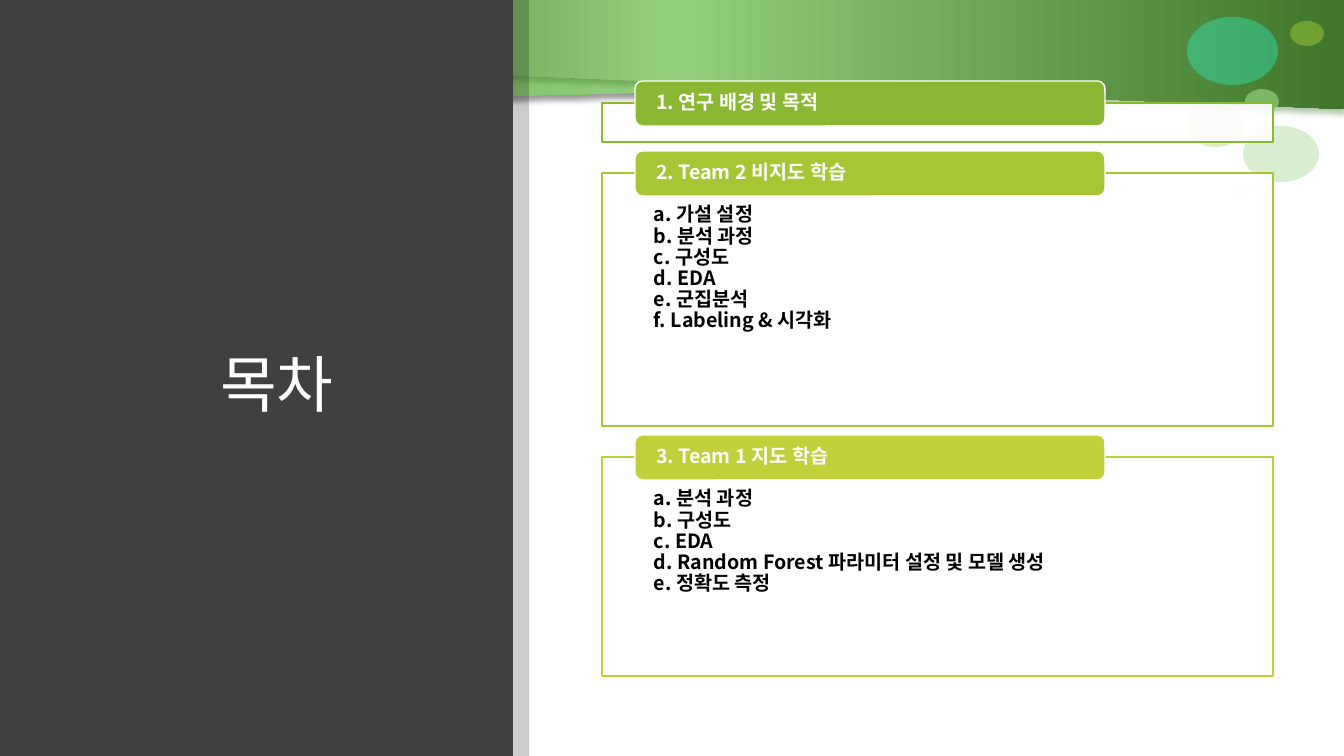
from lxml import etree
from pptx import Presentation
from pptx.dml.color import RGBColor
from pptx.enum.shapes import MSO_SHAPE as Shape
from pptx.enum.text import MSO_ANCHOR as Anchor, MSO_AUTO_SIZE as AutoSize, PP_ALIGN as Align
from pptx.oxml.ns import qn
from pptx.util import Inches, Pt

SCALE = Inches(1) / 100.8  # EMU in one px
FONT = "Noto Sans CJK KR"
COLOURS = {
    "white": "FFFFFF", "black": "000000", "dark": "404040",
    "forest": "2A4F1C", "moss": "3F762B", "leaf": "549E39", "mint": "93D07D",
    "pale": "E8F3D4", "aqua": "2BFCCF",
    "green": "8AB833", "lime": "A6C634", "yellow": "C0CF3A",
}
SECTIONS = [  # heading, colour, panel height, list items
    ("1. 연구 배경 및 목적", "green", 39, []),
    ("2. Team 2 비지도 학습", "lime", 253,
     ["가설 설정", "분석 과정", "구성도", "EDA", "군집분석", "Labeling & 시각화"]),
    ("3. Team 1 지도 학습", "yellow", 219,
     ["분석 과정", "구성도", "EDA", "Random Forest 파라미터 설정 및 모델 생성", "정확도 측정"]),
]
BUBBLES = [  # left, top, width, height, colour, opacity
    (1232, 184, 21, 15, "pale", 82),
    (1187, 104, 57, 43, "green", 29),
    (1243, 126, 76, 56, "mint", 35),
    (1245, 89, 34, 25, "mint", 70),
    (1187, 17, 91, 68, "aqua", 36),
    (1290, 21, 34, 25, "green", 65),
]


def px(length):
    return round(length * SCALE)


def rgb(name):
    return RGBColor.from_string(COLOURS[name])


def add_xml(parent, tag, **attributes):
    return etree.SubElement(parent, qn(tag), attributes)


def set_values(target, values):
    for name, value in values.items():
        setattr(target, name, value)


class SlideBuilder:
    def __init__(self, presentation, layout):
        self.slide = presentation.slides.add_slide(layout)
        self.shapes = self.slide.shapes
        self.paragraph_format = {"line_spacing": 0.9, "space_before": Pt(0), "space_after": Pt(0)}

    def add_shape(self, kind, box, colour, opacity=100, line=None):
        shape = self.shapes.add_shape(kind, *map(px, box))
        shape.shadow.inherit = False
        shape.fill.solid()
        shape.fill.fore_color.rgb = rgb(colour)
        if opacity < 100:
            colour_element = shape._element.spPr.find(".//" + qn("a:srgbClr"))
            add_xml(colour_element, "a:alpha", val=str(opacity * 1000))
        if line:
            shape.line.color.rgb = rgb(line)
            shape.line.width = Pt(1)
        else:
            shape.line.fill.background()
        return shape

    def add_band(self, points, colours, shadow):
        builder = self.shapes.build_freeform(*points[0], scale=SCALE)
        builder.add_line_segments(points[1:], close=True)
        band = builder.convert_to_shape()
        band.line.fill.background()
        band.fill.gradient()
        band.fill.gradient_angle = 0
        properties = band._element.spPr
        stops = properties.find(".//" + qn("a:gsLst"))
        stops.clear()
        for index, colour in enumerate(colours):
            stop = add_xml(stops, "a:gs", pos=str(index * 50000))
            add_xml(stop, "a:srgbClr", val=COLOURS[colour])
        effects = add_xml(properties, "a:effectLst")
        outer = add_xml(effects, "a:outerShdw", blurRad=str(Pt(4)), dist=str(Pt(3)),
                        dir="5400000", rotWithShape="0")
        tint = add_xml(outer, "a:srgbClr", val=COLOURS[shadow])
        add_xml(tint, "a:alpha", val="40000")

    def add_text(self, paragraph, text, size, colour, bold):
        set_values(paragraph, self.paragraph_format)
        run = paragraph.add_run()
        run.text = text
        set_values(run.font, {"size": Pt(size), "name": FONT, "bold": bold})
        run.font.color.rgb = rgb(colour)
        add_xml(run._r.get_or_add_rPr(), "a:ea", typeface=FONT)

    def set_frame(self, shape, anchor, margins):
        sides = ("margin_left", "margin_top", "margin_right", "margin_bottom")
        frame = shape.text_frame
        set_values(frame, {"word_wrap": True, "auto_size": AutoSize.NONE,
                           "vertical_anchor": anchor, **dict(zip(sides, map(px, margins)))})
        return frame

    def place(self, placeholder, box):
        set_values(placeholder, dict(zip(("left", "top", "width", "height"), map(px, box))))
        self.shapes._spTree.append(placeholder._element)  # bring to front

    def add_title(self, text, box):
        title = self.shapes.title
        self.place(title, box)
        paragraph = self.set_frame(title, Anchor.MIDDLE, (10, 5, 10, 5)).paragraphs[0]
        self.add_text(paragraph, text, 44, "white", False)
        paragraph.alignment = Align.CENTER

    def add_list(self, placeholder, items, box):
        self.place(placeholder, box)
        frame = self.set_frame(placeholder, Anchor.TOP, (52, 32, 52, 11))
        for index, item in enumerate(items):
            paragraph = frame.add_paragraph() if index else frame.paragraphs[0]
            self.add_text(paragraph, f" {item}", 14, "black", True)
            properties = paragraph._p.get_or_add_pPr()
            properties.set("marL", str(px(12)))
            properties.set("indent", str(px(-12)))
            add_xml(properties, "a:buFont", typeface="+mj-lt")
            add_xml(properties, "a:buAutoNum", type="alphaLcPeriod")

    def add_heading(self, text, box, colour):
        tab = self.add_shape(Shape.ROUNDED_RECTANGLE, box, colour, line="white")
        paragraph = self.set_frame(tab, Anchor.MIDDLE, (19, 0, 19, 0)).paragraphs[0]
        self.add_text(paragraph, text, 14, "white", True)
        paragraph.alignment = Align.LEFT


def main():
    presentation = Presentation()
    set_values(presentation, {"slide_width": px(1344), "slide_height": px(756)})
    builder = SlideBuilder(presentation, presentation.slide_layouts[3])
    bodies = iter([builder.slide.placeholders[1], builder.slide.placeholders[2]])

    # Top bands and bubbles
    builder.add_band([(0, 0), (1299, 76), (0, 109)], ("leaf", "mint", "moss"), "black")
    builder.add_band([(1344, 0), (0, 0), (1, 55), (1344, 109)], ("forest", "mint", "moss"), "moss")
    for *box, colour, opacity in BUBBLES:
        builder.add_shape(Shape.OVAL, box, colour, opacity)

    # Left side with the title
    builder.add_shape(Shape.RECTANGLE, (0, 0, 513, 756), "dark")
    builder.add_title("목차", (93, 90, 368, 596))
    builder.add_shape(Shape.RECTANGLE, (513, 0, 16, 756), "black", 20)

    # Contents panels
    top = 103
    for heading, colour, height, items in SECTIONS:
        panel = (602, top, 671, height)
        builder.add_shape(Shape.RECTANGLE, panel, "white", 90, colour)
        if items:
            builder.add_list(next(bodies), items, panel)
        builder.add_heading(heading, (635, top - 22, 470, 45), colour)
        top += height + 31

    presentation.save("out.pptx")


if __name__ == "__main__":
    main()
